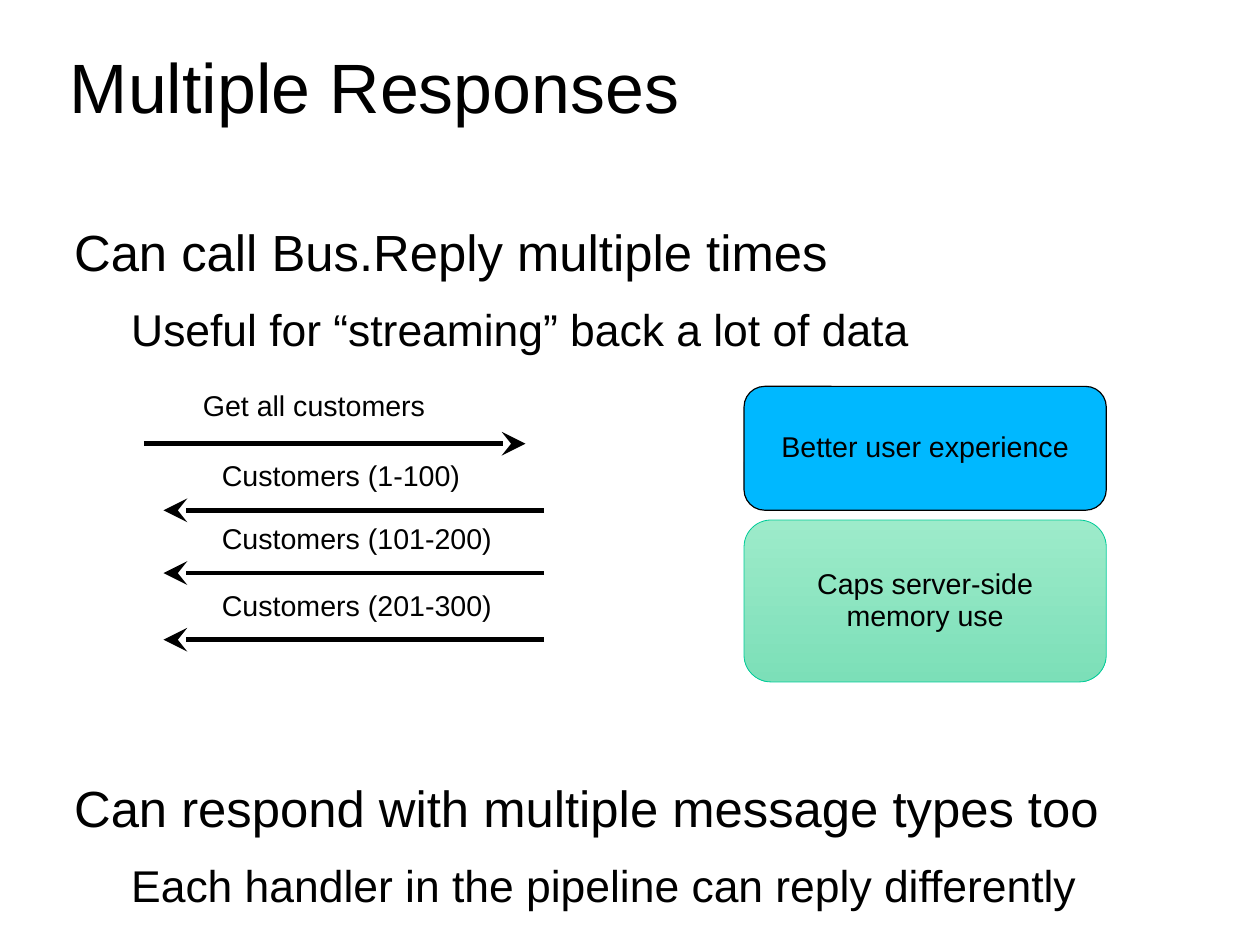
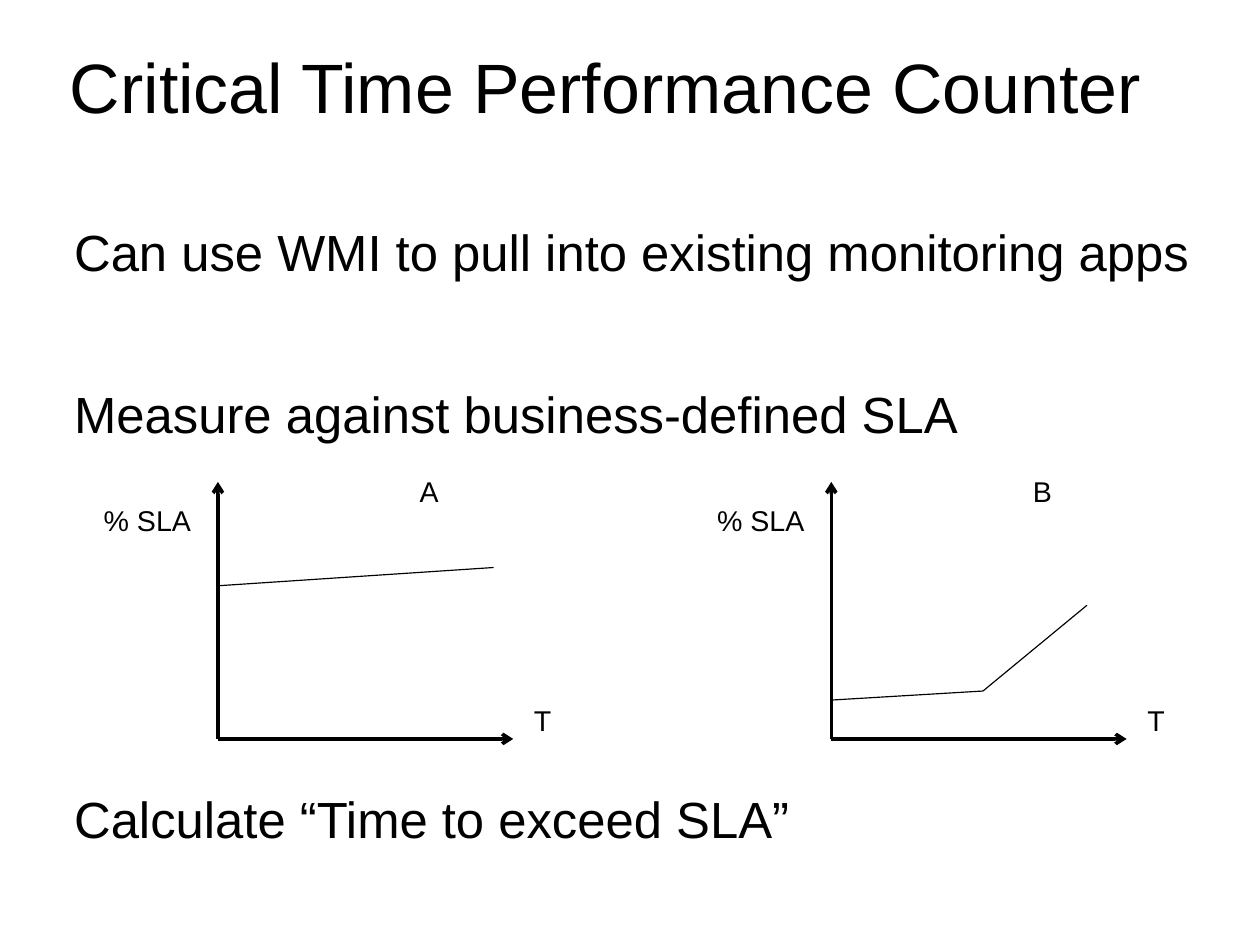
import itertools
import lxml.etree
import pptx
import pptx.dml.color
import pptx.enum.shapes
import pptx.enum.text
import pptx.oxml.ns
import pptx.util

Pt = pptx.util.Pt
Align = pptx.enum.text.PP_ALIGN
Anchor = pptx.enum.text.MSO_ANCHOR
Kind = pptx.enum.shapes.MSO_SHAPE
qn = pptx.oxml.ns.qn

HUES = {
    "ink": "000000",
    "blue": "00B8FF",
    "mint": "9DEBCA",
    "green": "7CDFB8",
    "edge": "00CC99",
}
FONT = "Arial"
LEFT = 46.7     # left edge of the body text
TOP = 141.4     # top of the first body line
STEP = 51       # pitch of the body lines
INDENT = 36     # indent of the second level


def hue(name):
    return pptx.dml.color.RGBColor.from_string(HUES[name])


# Text
def write(frame, text, size=18, color="ink", align=Align.LEFT,
          anchor=Anchor.TOP, wrap=True, pitch=0.93):
    """Fill a text frame, one paragraph per line of text."""
    frame.margin_left = frame.margin_right = 0
    frame.margin_top = frame.margin_bottom = 0
    frame.auto_size = pptx.enum.text.MSO_AUTO_SIZE.NONE
    frame.word_wrap = wrap
    frame.vertical_anchor = anchor
    frame.text = text
    for para in frame.paragraphs:
        para.alignment = align
        para.line_spacing = pitch
        para.font.name = FONT
        para.font.size = Pt(size)
        para.font.color.rgb = hue(color)


def label(slide, text, x, y, wide=180):
    box = slide.shapes.add_textbox(Pt(x), Pt(y), Pt(wide), Pt(21))
    write(box.text_frame, text, wrap=False)


def body(slide, y, head, sub=None):
    """Add a main point and, if given, the point below it."""
    box = slide.shapes.add_textbox(Pt(LEFT), Pt(y), Pt(740),
                                   Pt(95 if sub else 37))
    frame = box.text_frame
    write(frame, f"{head}\n{sub}" if sub else head, size=32, pitch=0.96)
    frame.paragraphs[0].space_after = Pt(14.2)
    if sub:
        para = frame.paragraphs[1]
        para.font.size = Pt(28)
        para._p.get_or_add_pPr().set("marL", str(Pt(INDENT)))


# Slides, lines and cards
def page(deck, title):
    slide = deck.slides.add_slide(deck.slide_layouts[5])
    head = slide.shapes.title
    head.left, head.top = Pt(44), Pt(28)
    head.width, head.height = Pt(740), Pt(57)
    write(head.text_frame, title, size=44, anchor=Anchor.MIDDLE, pitch=0.96)
    return slide


def line(slide, start, end, width=0.75, tip=None, size="med"):
    link = slide.shapes.add_connector(
        pptx.enum.shapes.MSO_CONNECTOR.STRAIGHT,
        *(Pt(n) for n in (*start, *end)))
    link.line.color.rgb = hue("ink")
    link.line.width = Pt(width)
    if tip:
        lxml.etree.SubElement(link.line._get_or_add_ln(), qn("a:tailEnd"),
                              type=tip, w=size, len=size)
    lxml.etree.SubElement(link._element.spPr, qn("a:effectLst"))


def card(slide, text, y, high, fills, edge, width):
    """Add a rounded box with a plain fill or a two-colour gradient."""
    box = slide.shapes.add_shape(Kind.ROUNDED_RECTANGLE, Pt(468.7), Pt(y),
                                 Pt(228.2), Pt(high))
    box.shadow.inherit = False
    if len(fills) == 1:
        box.fill.solid()
        box.fill.fore_color.rgb = hue(fills[0])
    else:
        box.fill.gradient()
        box.fill.gradient_angle = 270
        for stop, name in zip(box.fill.gradient_stops, fills):
            stop.color.rgb = hue(name)
    box.line.color.rgb = hue(edge)
    box.line.width = Pt(width)
    write(box.text_frame, text, align=Align.CENTER, anchor=Anchor.MIDDLE)


def call(slide, text, start, end, y, x, rise):
    """Add a message arrow with its label above it."""
    line(slide, (start, y), (end, y), width=3, tip="stealth", size="lg")
    label(slide, text, x, y - rise)


def plot(slide, name, x, points):
    """Add a sketched pair of axes and a curve, from the origin at x."""
    base = 465.5
    for end in ((x, 303.6), (x + 186, base)):
        line(slide, (x, base), end, width=2.25, tip="arrow")
    for text, dx, y in (("T", 199, 444.8), ("% SLA", -72, 318.8),
                        (name, 127, 300.2)):
        label(slide, text, x + dx, y, wide=60)
    spots = [(x + dx, base - dy) for dx, dy in points]
    for start, end in itertools.pairwise(spots):
        line(slide, start, end)


def replies(deck):
    slide = page(deck, "Multiple Responses")
    body(slide, TOP, "Can call Bus.Reply multiple times",
         "Useful for “streaming” back a lot of data")
    body(slide, 491.6, "Can respond with multiple message types too",
         "Each handler in the pipeline can reply differently")
    # Request and its replies
    call(slide, "Get all customers", 90.7, 331, 279.5, 127.8, 33)
    for span, y in (("1-100", 321.5), ("101-200", 361), ("201-300", 403)):
        call(slide, f"Customers ({span})", 342.7, 103, y, 139.8, 31)
    # Benefits
    card(slide, "Better user experience", 243.4, 78, ["blue"], "ink", 0.75)
    card(slide, "Caps server-side\nmemory use", 327.6, 102,
         ["mint", "green"], "edge", 0.5)


def counter(deck):
    slide = page(deck, "Critical Time Performance Counter")
    for row, text in ((0, "Can use WMI to pull into existing monitoring apps"),
                      (2, "Measure against business-defined SLA"),
                      (7, "Calculate “Time to exceed SLA”")):
        body(slide, TOP + row * STEP, text)
    # Sketches of load against time
    plot(slide, "A", 137.3, [(0, 96.5), (173.7, 108)])
    plot(slide, "B", 523.7, [(0, 24.5), (95.5, 30.2), (161, 84.2)])


def main():
    deck = pptx.Presentation()
    deck.slide_width, deck.slide_height = Pt(793.7), Pt(595.28)
    replies(deck)
    counter(deck)
    deck.save("out.pptx")


if __name__ == "__main__":
    main()
